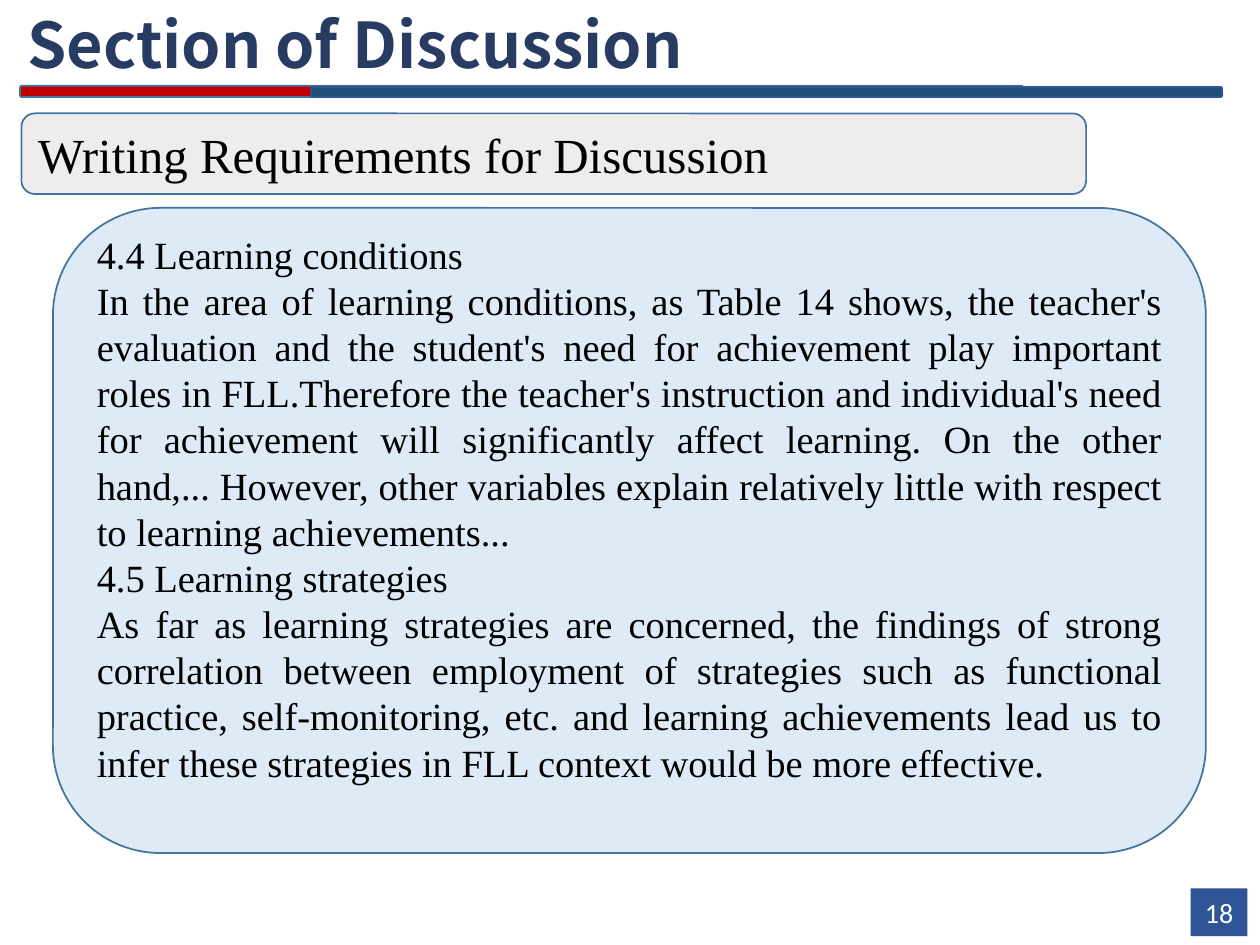
from pptx import Presentation
from pptx.dml.color import RGBColor
from pptx.enum.shapes import MSO_SHAPE
from pptx.enum.text import MSO_ANCHOR, MSO_AUTO_SIZE, PP_ALIGN
from pptx.util import Inches, Pt

NAVY = RGBColor(0x28, 0x3B, 0x63)
RED = RGBColor(0xC0, 0x00, 0x00)
BLUE = RGBColor(0x1F, 0x4E, 0x79)
BADGE_BLUE = RGBColor(0x2F, 0x55, 0x97)
PALE_BLUE = RGBColor(0xDE, 0xEB, 0xF7)
PALE_GRAY = RGBColor(0xED, 0xED, 0xED)
OUTLINE = RGBColor(0x43, 0x73, 0x9E)
BAR_OUTLINE = RGBColor(0x32, 0x54, 0x91)
BLACK = RGBColor(0, 0, 0)
WHITE = RGBColor(0xFF, 0xFF, 0xFF)

SERIF = "Times New Roman"
WIDTH, HEIGHT = Inches(10), Inches(7.5)

DISCUSSION = [
    "4.4 Learning conditions",
    "In the area of learning conditions, as Table 14 shows, the teacher's "
    "evaluation and the student's need for achievement play important roles "
    "in FLL.Therefore the teacher's instruction and individual's need for "
    "achievement will significantly affect learning. On the other hand,... "
    "However, other variables explain relatively little with respect to "
    "learning achievements...",
    "4.5 Learning strategies",
    "As far as learning strategies are concerned, the findings of strong "
    "correlation between employment of strategies such as functional practice, "
    "self-monitoring, etc. and learning achievements lead us to infer these "
    "strategies in FLL context would be more effective.",
]


def place(percent):
    """Turn left, top, width, height in percent of the slide into lengths."""
    sides = (WIDTH, HEIGHT, WIDTH, HEIGHT)
    return [int(side * share / 100) for side, share in zip(sides, percent)]


def write(sp, paragraphs, size, color, font=SERIF, bold=False,
          align=PP_ALIGN.LEFT, insets=(0.1, 0.05, 0.1, 0.05)):
    tf = sp.text_frame
    tf.word_wrap = True
    tf.auto_size = MSO_AUTO_SIZE.NONE
    tf.vertical_anchor = MSO_ANCHOR.MIDDLE
    (tf.margin_left, tf.margin_top,
     tf.margin_right, tf.margin_bottom) = map(Inches, insets)
    for i, text in enumerate(paragraphs):
        p = tf.add_paragraph() if i else tf.paragraphs[0]
        p.alignment = align
        r = p.add_run()
        r.text = text
        r.font.name = font
        r.font.size = Pt(size)
        r.font.bold = bold
        r.font.color.rgb = color


def add_panel(s, percent, fill, line=None, shape=MSO_SHAPE.ROUNDED_RECTANGLE):
    sp = s.shapes.add_shape(shape, *place(percent))
    sp.shadow.inherit = False
    sp.fill.solid()
    sp.fill.fore_color.rgb = fill
    if line is None:
        sp.line.fill.background()
    else:
        sp.line.color.rgb = line
        sp.line.width = Pt(1)
    return sp


def add_title(s, text):
    title = s.shapes.title
    title.left, title.top, title.width, title.height = place((2.1, 0.4, 65.7, 8.27))
    write(title, [text], 36, NAVY, font="Noto Sans CJK SC", bold=True,
          insets=(0.01, 0.01, 0, 0))


def main():
    prs = Presentation()
    prs.slide_width, prs.slide_height = WIDTH, HEIGHT
    s = prs.slides.add_slide(prs.slide_layouts.get_by_name("Title Only"))

    add_panel(s, (1.6, 9.07, 79.6, 1.2), RED, OUTLINE)
    add_panel(s, (24.7, 9.2, 72.3, 1.07), BLUE, BAR_OUTLINE)
    add_title(s, "Section of Discussion")

    heading = add_panel(s, (1.7, 12, 84.5, 8.53), PALE_GRAY, OUTLINE)
    write(heading, ["Writing Requirements for Discussion"], 28, BLACK)

    body = add_panel(s, (4.2, 22, 91.5, 68.27), PALE_BLUE, OUTLINE)
    write(body, DISCUSSION, 22, BLACK, align=PP_ALIGN.JUSTIFY,
          insets=(0.1, 0.05, 0.1, 0.41))

    number = add_panel(s, (94.5, 94, 4.5, 5.07), BADGE_BLUE,
                       shape=MSO_SHAPE.RECTANGLE)
    write(number, ["18"], 16, WHITE, font="Calibri", align=PP_ALIGN.CENTER)

    prs.save("out.pptx")


if __name__ == "__main__":
    main()
